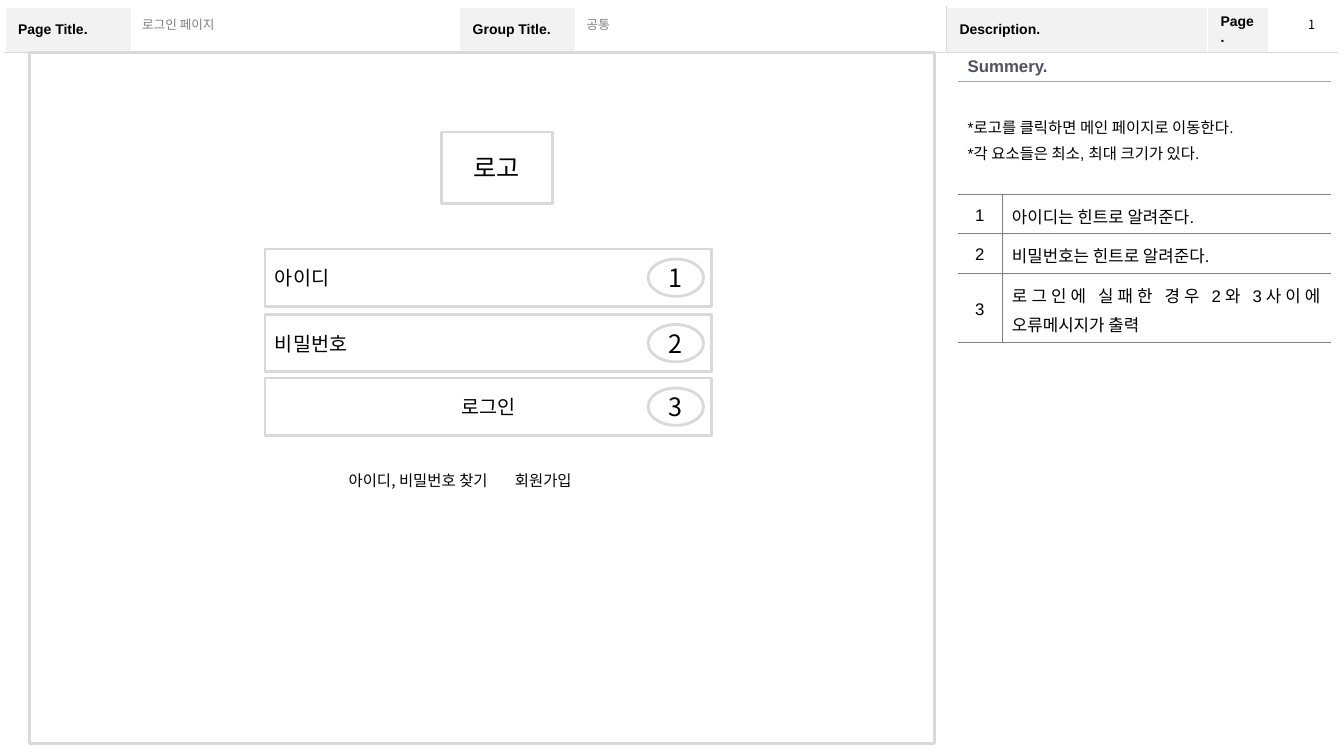
"""Build the login page wireframe slide with its description panel."""
from dataclasses import dataclass
from typing import Optional

import lxml.etree
import pptx
import pptx.dml.color
import pptx.enum.shapes
import pptx.enum.text
import pptx.oxml.ns
import pptx.util

ALIGN = pptx.enum.text.PP_ALIGN
SHAPE = pptx.enum.shapes.MSO_SHAPE
MIDDLE = pptx.enum.text.MSO_ANCHOR.MIDDLE
NO_FIT = pptx.enum.text.MSO_AUTO_SIZE.NONE
qn = pptx.oxml.ns.qn


@dataclass(frozen=True)
class Theme:
    white: str = "FFFFFF"
    black: str = "000000"
    label: str = "F2F2F2"
    outline: str = "D9D9D9"
    rule: str = "808080"
    soft_rule: str = "A6A6A6"
    summary: str = "4E5263"
    latin: str = "Arial"
    korean: str = "Noto Sans CJK KR"
    tiny: int = 9
    small: int = 10
    note: int = 11
    body: int = 12
    field: int = 14
    large: int = 18


@dataclass(frozen=True)
class Box:
    col: float
    row: float
    cols: float
    rows: float


@dataclass(frozen=True)
class Item:
    box: Box
    text: str = ""
    size: int = 0
    align: Optional[ALIGN] = ALIGN.CENTER
    kind: SHAPE = SHAPE.RECTANGLE


@dataclass(frozen=True)
class Field:
    row: float
    text: str
    align: ALIGN


T = Theme()
UNIT = pptx.util.Inches(1) / 6
COLS, ROWS = 80, 45

HEADER_BOX = Box(0.3, 0.42, 79.32, 42.66)
HEADER_COLS = (7.56, 19.5, 6.9, 22.08, 15.54, 3.66, 4.08)
HEADER_ROWS = (2.64, 40.02)
HEADER_LABELS = {0: "Page Title.", 2: "Group Title.", 4: "Description.", 5: "Page."}
DIVIDER = 4

SIDE_BOX = Box(57, 3.12, 22.2, 17.18)
SIDE_COLS = (2.64, 19.56)
SIDE_ROWS = (1.71, 6.69, 2.35, 2.38, 4.05)
SUMMARY = "*로고를 클릭하면 메인 페이지로 이동한다.\n*각 요소들은 최소, 최대 크기가 있다."
NOTES = ("아이디는 힌트로 알려준다.", "비밀번호는 힌트로 알려준다.",
         "로그인에 실패한 경우 2와 3사이에 오류메시지가 출력")

FIELDS = (Field(14.82, "아이디", ALIGN.LEFT), Field(18.72, "비밀번호", ALIGN.LEFT),
          Field(22.5, "로그인", ALIGN.CENTER))
SHAPES = [Item(Box(1.74, 3.12, 53.88, 41.16)),
          Item(Box(26.28, 7.86, 6.6, 4.26), "로고", T.large)]
for number, field in enumerate(FIELDS, 1):
    SHAPES += [Item(Box(15.78, field.row, 26.58, 3.42), field.text, T.field, field.align),
               Item(Box(38.58, field.row + 0.6, 3.3, 2.22), str(number), T.large,
                    kind=SHAPE.OVAL)]
LABELS = (Item(Box(20.16, 27.72, 10.86, 1.74), "아이디, 비밀번호 찾기", T.note),
          Item(Box(30.06, 27.72, 8.04, 1.74), "회원가입", T.note),
          Item(Box(77.28, 0.72, 1.62, 1.5), "1", T.tiny))


def grid(n: float) -> int:
    """Turn grid units into a length."""
    return round(n * UNIT)


def place(box: Box) -> tuple[int, int, int, int]:
    """Turn a box into left, top, width and height."""
    return grid(box.col), grid(box.row), grid(box.cols), grid(box.rows)


def rgb(code: str) -> pptx.dml.color.RGBColor:
    """Return the colour for a hex code."""
    return pptx.dml.color.RGBColor.from_string(code)


def write(tf, text: str, size: int, color: str = T.black, font: str = T.korean,
          bold: bool = False, align: ALIGN = ALIGN.LEFT, spacing: float = 1.0) -> None:
    """Set and format the text of a frame."""
    tf.text = text
    for p in tf.paragraphs:
        p.alignment, p.line_spacing = align, spacing
        for r in p.runs:
            r.font.size, r.font.bold, r.font.name = pptx.util.Pt(size), bold, font
            r.font.color.rgb = rgb(color)
            ea = lxml.etree.SubElement(r.font._element, qn("a:ea"))
            ea.set("typeface", T.korean)


def border(cell, **sides: Optional[str]) -> None:
    """Draw the L, R, T and B borders of a cell, thin unless white or absent."""
    tc_pr = cell._tc.get_or_add_tcPr()
    for i, side in enumerate("LRTB"):
        color = sides.get(side)
        ln = lxml.etree.Element(qn(f"a:ln{side}"))
        ln.set("w", str(pptx.util.Pt(1 if color == T.white else 0.25)))
        if color:
            fill = lxml.etree.SubElement(ln, qn("a:solidFill"))
            lxml.etree.SubElement(fill, qn("a:srgbClr")).set("val", color)
        else:
            lxml.etree.SubElement(ln, qn("a:noFill"))
        tc_pr.insert(i, ln)


def add_grid(slide, box: Box, cols: tuple, rows: tuple):
    """Add a plain table with the given column widths and row heights."""
    table = slide.shapes.add_table(len(rows), len(cols), *place(box)).table
    table.first_row = table.horz_banding = False
    for column, n in zip(table.columns, cols):
        column.width = grid(n)
    for row, n in zip(table.rows, rows):
        row.height = grid(n)
    for cell in table.iter_cells():
        cell.fill.background()
        cell.vertical_anchor = MIDDLE
    return table


def add_header(slide) -> None:
    """Add the page frame with its labelled header row."""
    table = add_grid(slide, HEADER_BOX, HEADER_COLS, HEADER_ROWS)
    for r in range(2):
        for c in range(len(HEADER_COLS)):
            cell = table.cell(r, c)
            grey = {"L": c == DIVIDER, "R": c == DIVIDER - 1, "T": r == 1, "B": r == 0}
            border(cell, **{s: T.outline if on else T.white for s, on in grey.items()})
            cell.margin_top = cell.margin_bottom = 0
    for c, text in HEADER_LABELS.items():
        cell = table.cell(0, c)
        cell.fill.solid()
        cell.fill.fore_color.rgb = rgb(T.label)
        cell.margin_left = cell.margin_right = pptx.util.Inches(0.13)
        cell.margin_top = cell.margin_bottom = pptx.util.Inches(0.07)
        write(cell.text_frame, text, T.small, font=T.latin, bold=True)
    table.cell(1, 0).merge(table.cell(1, DIVIDER - 1))
    table.cell(1, DIVIDER).merge(table.cell(1, len(HEADER_COLS) - 1))


def add_description(slide) -> None:
    """Add the summary and the numbered notes."""
    table = add_grid(slide, SIDE_BOX, SIDE_COLS, SIDE_ROWS)
    for r in range(2):
        table.cell(r, 0).merge(table.cell(r, 1))
        for c in range(2):
            border(table.cell(r, c), T=T.soft_rule if r else None,
                   B=T.rule if r else T.soft_rule)
    write(table.cell(0, 0).text_frame, "Summery.", T.body, T.summary, T.latin, True)
    write(table.cell(1, 0).text_frame, SUMMARY, T.note, font=T.latin,
          align=ALIGN.JUSTIFY, spacing=1.2)
    for number, note in enumerate(NOTES, 1):
        left, right = table.cell(number + 1, 0), table.cell(number + 1, 1)
        border(left, R=T.rule, T=T.rule, B=T.rule)
        border(right, L=T.rule, T=T.rule, B=T.rule)
        write(left.text_frame, str(number), T.body, font=T.latin,
              align=ALIGN.CENTER, spacing=1.2)
        write(right.text_frame, note, T.body, font=T.latin,
              align=ALIGN.JUSTIFY, spacing=1.2)


def fill_placeholder(sp, box: Box, text: str) -> None:
    """Move a placeholder into the header and set its text without a bullet."""
    sp.left, sp.top, sp.width, sp.height = place(box)
    tf = sp.text_frame
    tf.auto_size, tf.vertical_anchor = NO_FIT, MIDDLE
    write(tf, text, T.tiny, T.rule, T.latin)
    p = tf.paragraphs[0]
    p.space_before = pptx.util.Pt(0)
    p_pr = p._p.get_or_add_pPr()
    p_pr.set("marL", "0")
    p_pr.set("indent", "0")
    lxml.etree.SubElement(p_pr, qn("a:buNone"))


def add_item(slide, item: Item) -> None:
    """Add an outlined shape with optional text."""
    sp = slide.shapes.add_shape(item.kind, *place(item.box))
    sp.shadow.inherit = False
    sp.fill.solid()
    sp.fill.fore_color.rgb = rgb(T.white)
    sp.line.color.rgb, sp.line.width = rgb(T.outline), pptx.util.Pt(2)
    if item.text:
        sp.text_frame.vertical_anchor = MIDDLE
        write(sp.text_frame, item.text, item.size, align=item.align)


def add_label(slide, item: Item) -> None:
    """Add a free-standing line of text."""
    tf = slide.shapes.add_textbox(*place(item.box)).text_frame
    tf.word_wrap = len(item.text) > 1
    write(tf, item.text, item.size)


def main() -> None:
    """Build and save the slide."""
    prs = pptx.Presentation()
    prs.slide_width, prs.slide_height = grid(COLS), grid(ROWS)
    slide = prs.slides.add_slide(prs.slide_layouts[1])
    fill_placeholder(slide.shapes.title, Box(7.86, 0.72, 19.44, 1.44), "로그인 페이지")
    fill_placeholder(slide.placeholders[1], Box(34.32, 0.72, 21.84, 1.44), "공통")
    add_header(slide)
    for item in SHAPES:
        add_item(slide, item)
    add_description(slide)
    for item in LABELS:
        add_label(slide, item)
    prs.save("out.pptx")


if __name__ == "__main__":
    main()
